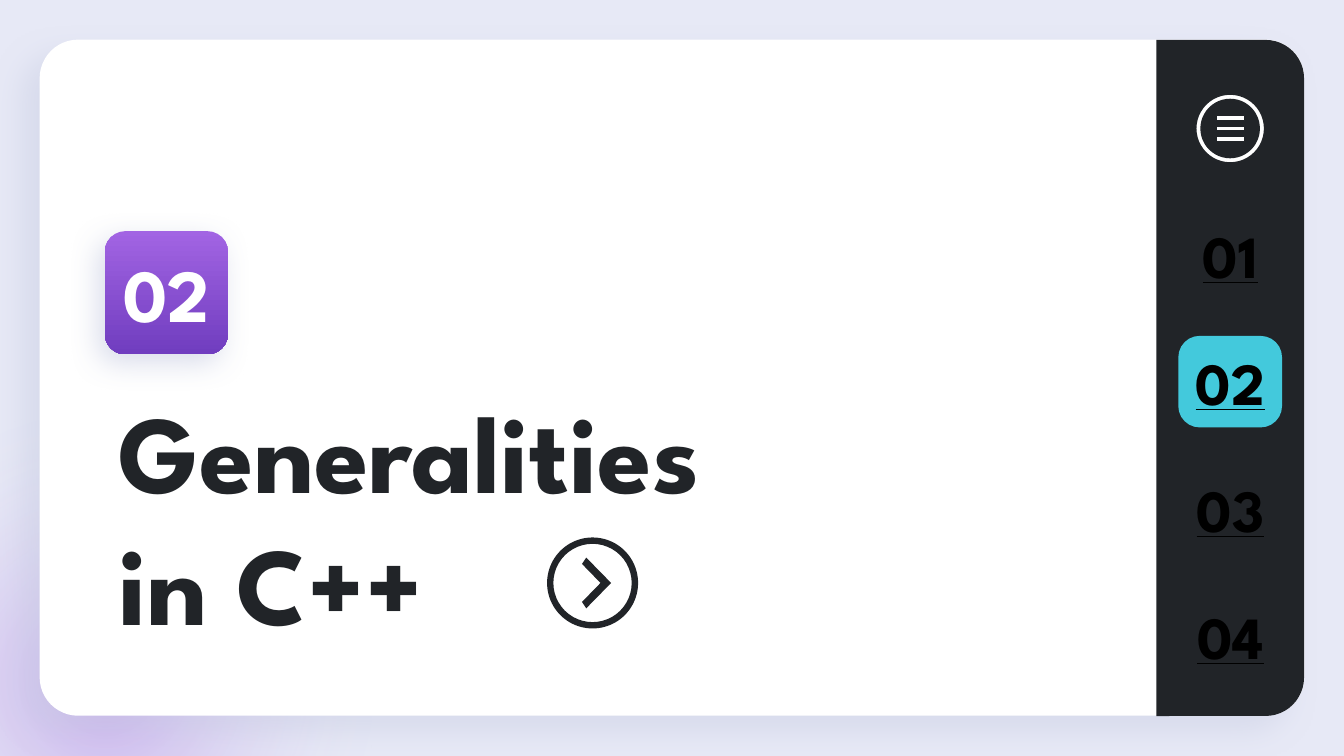
from dataclasses import dataclass

from lxml import etree
from pptx import Presentation
from pptx.dml.color import RGBColor
from pptx.enum.shapes import MSO_SHAPE
from pptx.enum.text import MSO_ANCHOR, MSO_AUTO_SIZE, PP_ALIGN
from pptx.oxml import parse_xml
from pptx.oxml.ns import qn
from pptx.util import Cm, Pt

OVAL = MSO_SHAPE.OVAL
DONUT = MSO_SHAPE.DONUT
ROUNDED = MSO_SHAPE.ROUNDED_RECTANGLE
TOP_ROUNDED = MSO_SHAPE.ROUND_2_SAME_RECTANGLE
TOP, MIDDLE = MSO_ANCHOR.TOP, MSO_ANCHOR.MIDDLE
LEFT, CENTER = PP_ALIGN.LEFT, PP_ALIGN.CENTER
NO_AUTOFIT = MSO_AUTO_SIZE.NONE
DRAWING_NS = "http://schemas.openxmlformats.org/drawingml/2006/main"
TITLE_ONLY = 5


@dataclass(frozen=True)
class Theme:
    font: str = "League Spartan"
    backdrop: str = "E7E9F6"
    white: str = "FFFFFF"
    black: str = "000000"
    ink: str = "212428"
    accent: str = "43C9DC"
    violet: str = "A264E3"
    deep_violet: str = "703DBF"
    shadow: str = "C7CCE2"
    title_size: int = 59
    badge_size: int = 40
    nav_size: int = 32


THEME = Theme()


def rgb(color):
    return RGBColor.from_string(color)


def paint(block, color):
    if color:
        block.fill.solid()
        block.fill.fore_color.rgb = rgb(color)
    block.line.fill.background()
    block.shadow.inherit = False


def add_block(shapes, kind, left, top, width, height, color=None, adjustments=()):
    block = shapes.add_shape(kind, Cm(left), Cm(top), Cm(width), Cm(height))
    for index, value in enumerate(adjustments):
        block.adjustments[index] = value
    paint(block, color)
    return block


def set_gradient(block, stops, direction):
    stop_list = "".join(
        f'<a:gs pos="{position * 1000}"><a:srgbClr val="{color}">'
        f'<a:alpha val="{alpha * 1000}"/></a:srgbClr></a:gs>'
        for position, color, alpha in stops
    )
    geometry = block._element.spPr.find(qn("a:prstGeom"))
    geometry.addnext(parse_xml(
        f'<a:gradFill xmlns:a="{DRAWING_NS}" rotWithShape="1">'
        f"<a:gsLst>{stop_list}</a:gsLst>{direction}</a:gradFill>"
    ))


def set_shadow(block, alpha, blur, distance, angle):
    effects = block._element.spPr.find(qn("a:effectLst"))
    outer = etree.SubElement(
        effects, qn("a:outerShdw"), blurRad=str(Pt(blur)), dist=str(Pt(distance)),
        dir=str(angle * 60000), algn="bl", rotWithShape="0",
    )
    color = etree.SubElement(outer, qn("a:srgbClr"), val=THEME.shadow)
    etree.SubElement(color, qn("a:alpha"), val=str(alpha * 1000))


def bar(middle, half_width, half_height):
    top, bottom = middle - half_height, middle + half_height
    return [(-half_width, top), (half_width, top), (half_width, bottom), (-half_width, bottom)]


def add_ringed_symbol(shapes, center_x, center_y, radius, thickness, outlines, color):
    diameter = 2 * radius
    ring = add_block(
        shapes, DONUT, center_x - radius, center_y - radius, diameter, diameter,
        color, [thickness / diameter],
    )
    contours = [
        [(Cm(center_x + x), Cm(center_y + y)) for x, y in outline] for outline in outlines
    ]
    builder = shapes.build_freeform(*contours[0][0])
    builder.add_line_segments(contours[0][1:])
    for contour in contours[1:]:
        builder.move_to(*contour[0])
        builder.add_line_segments(contour[1:])
    symbol = builder.convert_to_shape()
    paint(symbol, color)
    return ring, symbol


def format_text(box, text, size, color, align, anchor, bottom=0, underline=None):
    frame = box.text_frame
    frame.text = text
    frame.word_wrap = True
    frame.auto_size = NO_AUTOFIT
    frame.vertical_anchor = anchor
    frame.margin_left = frame.margin_right = Cm(0.25)
    frame.margin_top, frame.margin_bottom = 0, Cm(bottom)
    paragraph = frame.paragraphs[0]
    paragraph.alignment = align
    font = paragraph.font
    font.name, font.size, font.bold, font.underline = THEME.font, Pt(size), True, underline
    font.color.rgb = rgb(color)


def add_number(shapes, text, left, top, width, size, color, underline=None):
    number = shapes.add_textbox(Cm(left), Cm(top), Cm(width), Cm(1.37))
    format_text(number, text, size, color, CENTER, MIDDLE, underline=underline)


def add_backdrop(slide):
    slide.background.fill.solid()
    slide.background.fill.fore_color.rgb = rgb(THEME.backdrop)
    glow = add_block(slide.shapes, OVAL, -3.94, 6.93, 11.84, 11.84)
    set_gradient(
        glow,
        [(0, THEME.violet, 49), (62, THEME.backdrop, 0), (100, THEME.white, 0)],
        '<a:path path="circle"><a:fillToRect l="50000" t="50000" r="50000" b="50000"/></a:path>',
    )
    window = slide.shapes.add_group_shape().shapes
    card = add_block(window, ROUNDED, 0.75, 0.75, 23.9, 12.78, THEME.white, [0.057])
    set_shadow(card, 47, 16.9, 12, 137)
    sidebar = add_block(window, TOP_ROUNDED, 16.86, 5.75, 12.78, 2.79, THEME.ink, [0.261, 0])
    sidebar.rotation = 90


def add_icons(shapes):
    menu_bars = [bar(middle, 0.27, 0.05) for middle in (-0.2, 0, 0.2)]
    menu_parts = add_ringed_symbol(shapes, 23.25, 2.43, 0.65, 0.1, menu_bars, THEME.white)
    for part in menu_parts:
        part.line.color.rgb = rgb(THEME.ink)
        part.line.width = Pt(0.75)
    chevron = [
        (-0.12, -0.48), (0.35, 0), (-0.12, 0.48), (-0.2, 0.36), (0.15, 0), (-0.2, -0.36),
    ]
    add_ringed_symbol(shapes, 11.2, 11.02, 0.86, 0.12, [chevron], THEME.ink)


def add_title(slide):
    title = slide.shapes.title
    title.left, title.top, title.width, title.height = Cm(1.99), Cm(7.24), Cm(15.72), Cm(2.26)
    format_text(
        title, "Generalities \vin C++", THEME.title_size, THEME.ink, LEFT, TOP, bottom=0.25
    )
    slide.shapes._spTree.append(title._element)


def main():
    deck = Presentation()
    deck.slide_width, deck.slide_height = Cm(25.4), Cm(14.29)
    slide = deck.slides.add_slide(deck.slide_layouts[TITLE_ONLY])
    shapes = slide.shapes

    add_backdrop(slide)
    add_block(shapes, ROUNDED, 22.27, 6.35, 1.96, 1.73, THEME.accent, [0.234])
    badge = add_block(shapes, ROUNDED, 1.98, 4.37, 2.33, 2.33, adjustments=[0.167])
    set_gradient(
        badge,
        [(0, THEME.violet, 100), (100, THEME.deep_violet, 100)],
        '<a:lin ang="5400000" scaled="0"/>',
    )
    set_shadow(badge, 63, 15.8, 6, 128)
    add_icons(shapes)
    add_title(slide)
    add_number(shapes, "02", 1.98, 4.85, 2.34, THEME.badge_size, THEME.white)
    for index, section in enumerate(("01", "02", "03", "04")):
        add_number(
            shapes, section, 22.24, 4.13 + 2.4 * index, 2.03,
            THEME.nav_size, THEME.black, underline=True,
        )
    deck.save("out.pptx")


if __name__ == "__main__":
    main()
